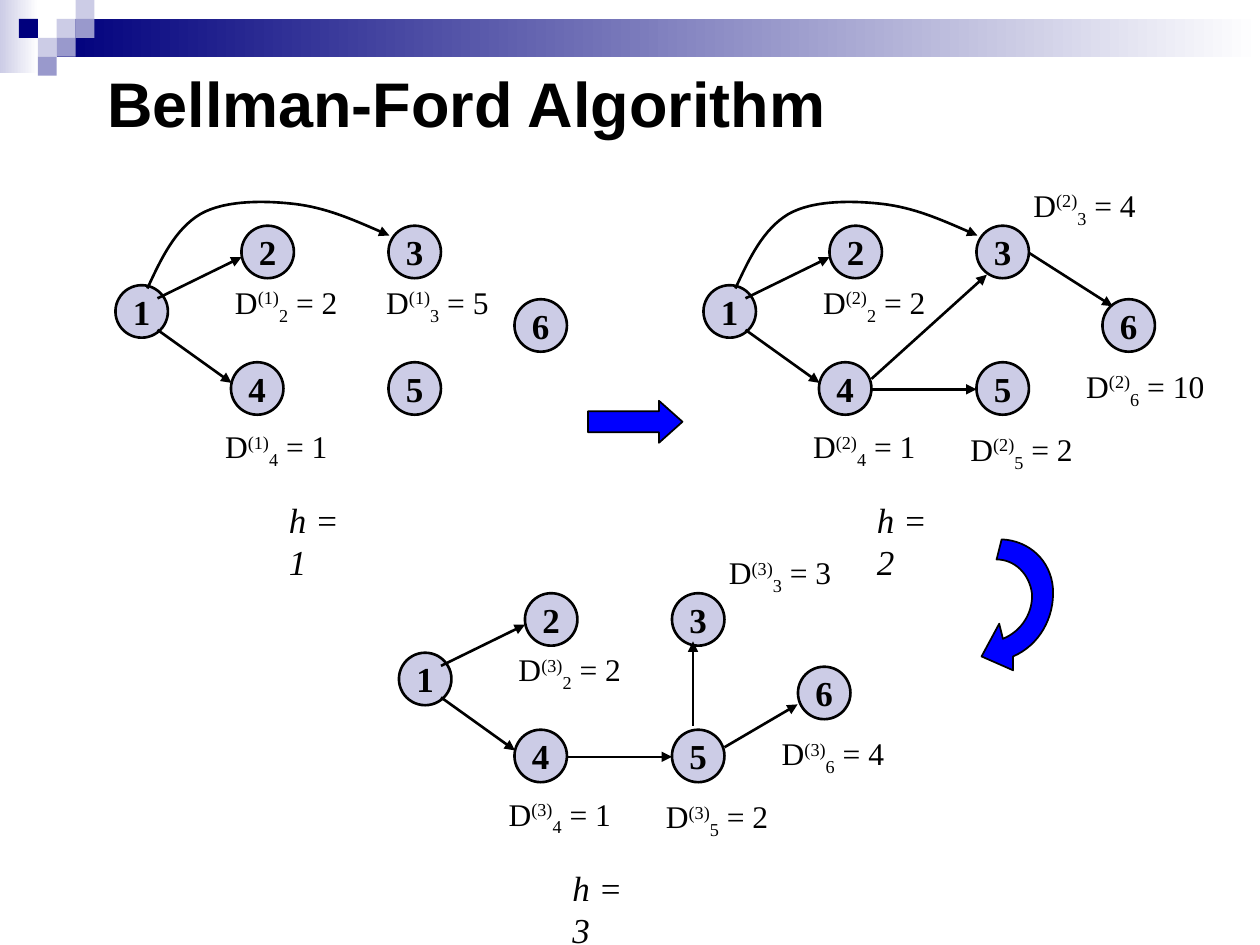
from dataclasses import dataclass

from pptx import Presentation
from pptx.dml.color import RGBColor
from pptx.enum import shapes, text
from pptx.oxml import ns, xmlchemy
from pptx.util import Pt

BLACK = RGBColor(0x00, 0x00, 0x00)
WHITE = RGBColor(0xFF, 0xFF, 0xFF)
NAVY = RGBColor(0x00, 0x00, 0x7D)
BLUE = RGBColor(0x00, 0x00, 0xFF)
LAVENDER = RGBColor(0xCC, 0xCC, 0xE6)
PERIWINKLE = RGBColor(0x99, 0x99, 0xCC)
SERIF = "Times New Roman"
NODE_SIZE = 30
SQUARE = 10.8

Point = tuple[float, float]


@dataclass(frozen=True)
class Outline:
    """Start point, then segments: one point is a line, three points are a Bézier curve."""
    start: Point
    segments: list[list[Point]]
    closed: bool = False


@dataclass(frozen=True)
class Stage:
    """One step of the algorithm; label_spots overrides the usual label places."""
    hops: int
    origin: Point
    edges: list[tuple[int, int]]
    distances: dict[int, int]
    label_spots: dict[int, Point]
    detour: bool = True


# Positions of the graph parts, relative to a stage's origin
NODES = {2: (138, 129), 3: (222, 129), 1: (66, 163),
         4: (132, 207), 6: (294, 171), 5: (222, 207)}
EDGES = {
    (1, 2): ((90, 170.5), (138, 147)),
    (1, 4): ((90, 188.5), (132.3, 218.8)),
    (4, 3): ((162, 216.5), (227.9, 157)),
    (4, 5): ((162, 222.5), (222, 222.5)),
    (3, 6): ((252.3, 144.7), (299.8, 175)),
    (5, 3): ((234, 204.8), (234, 156.5)),
    (5, 6): ((252, 217), (293.8, 192.5)),
}
LABEL_SPOTS = {2: (127.2, 158), 3: (247.4, 102.7), 4: (121.5, 240.5),
               5: (211.4, 242), 6: (277.6, 206)}
HOPS_SPOT = (158, 281.5)
DETOUR = Outline((84.2, 164.9), [
    [(92.2, 147.6), (100.1, 131), (114.5, 122.4)],
    [(128.2, 114.5), (150.5, 114.5), (168.5, 116.6)],
    [(186.5, 118.8), (204.5, 126.7), (222.5, 134.6)],
])
TURN_ARROW = Outline((573.1, 365), [
    [(583.9, 360.7), (590.4, 349.9), (589.7, 339.1)],
    [(588.2, 327.6), (579.6, 319.7), (569.5, 319.7)],
    [(572.4, 308.2)],
    [(588.2, 308.9), (600.5, 320.4), (601.7, 336.2)],
    [(602.7, 352.8), (594, 368.6), (578.9, 375.1)],
    [(578.9, 383)], [(560.9, 375.1)], [(571, 356.4)],
], closed=True)

STAGES = [
    Stage(1, (0, 0), [(1, 2), (1, 4)], {2: 2, 3: 5, 4: 1}, {3: (213.6, 158)}),
    Stage(2, (336, 0), [(1, 2), (1, 4), (4, 3), (4, 5), (3, 6)],
          {2: 2, 3: 4, 4: 1, 6: 10, 5: 2}, {}),
    Stage(3, (162, 210), [(1, 2), (1, 4), (5, 3), (4, 5), (5, 6)],
          {2: 2, 3: 3, 4: 1, 6: 4, 5: 2}, {}, detour=False),
]


def shifted(point: Point, origin: Point) -> tuple[Pt, Pt]:
    return Pt(point[0] + origin[0]), Pt(point[1] + origin[1])


def style_line(line, width: float, arrowhead: bool = False) -> None:
    line.color.rgb = BLACK
    line.width = Pt(width)
    if arrowhead:
        tail = xmlchemy.OxmlElement("a:tailEnd")
        tail.set("type", "triangle")
        line._get_or_add_ln().append(tail)


def add_filled(slide, kind, left: float, top: float, width: float, height: float,
               color: RGBColor, fade: bool = False):
    """Add a borderless shape; fade runs its colour out to white on the right."""
    shape = slide.shapes.add_shape(kind, Pt(left), Pt(top), Pt(width), Pt(height))
    shape.shadow.inherit = False
    shape.line.fill.background()
    if fade:
        shape.fill.gradient()
        shape.fill.gradient_angle = 0
        for stop, stop_color in zip(shape.fill.gradient_stops, (color, WHITE)):
            stop.color.rgb = stop_color
    else:
        shape.fill.solid()
        shape.fill.fore_color.rgb = color
    return shape


def add_outline(slide, outline: Outline, origin: Point = (0, 0)):
    builder = slide.shapes.build_freeform(*shifted(outline.start, origin))
    builder.add_line_segments(
        [shifted(point, origin) for segment in outline.segments for point in segment],
        close=outline.closed)
    shape = builder.convert_to_shape()
    shape.shadow.inherit = False
    steps = iter(shape._element.findall(".//" + ns.qn("a:lnTo")))
    for segment in outline.segments:
        lines = [next(steps) for _ in segment]
        if len(lines) == 3:
            curve = xmlchemy.OxmlElement("a:cubicBezTo")
            lines[0].addprevious(curve)
            for line in lines:
                curve.append(line[0])
                line.getparent().remove(line)
    return shape


def add_node(slide, number: int, origin: Point) -> None:
    left, top = NODES[number]
    node = add_filled(slide, shapes.MSO_SHAPE.OVAL, left + origin[0], top + origin[1],
                      NODE_SIZE, NODE_SIZE, LAVENDER)
    style_line(node.line, 1.5)
    frame = node.text_frame
    frame.word_wrap = False
    frame.vertical_anchor = text.MSO_ANCHOR.MIDDLE
    paragraph = frame.paragraphs[0]
    paragraph.text = str(number)
    paragraph.alignment = text.PP_ALIGN.CENTER
    font = paragraph.font
    font.name, font.size, font.bold, font.color.rgb = SERIF, Pt(20), True, BLACK


def add_edge(slide, ends: tuple[Point, Point], origin: Point) -> None:
    edge = slide.shapes.add_connector(shapes.MSO_CONNECTOR.STRAIGHT,
                                      *shifted(ends[0], origin), *shifted(ends[1], origin))
    style_line(edge.line, 1.5, arrowhead=True)
    edge._element.spPr.append(xmlchemy.OxmlElement("a:effectLst"))


def add_label(slide, pieces: list[tuple[str, int]], spot: Point, origin: Point,
              width: float, size: float, italic: bool = False) -> None:
    """Add a one-line label from (text, baseline percent) pieces."""
    box = slide.shapes.add_textbox(*shifted(spot, origin), Pt(width), Pt(31.5))
    box.text_frame.word_wrap = False
    paragraph = box.text_frame.paragraphs[0]
    font = paragraph.font
    font.name, font.size, font.italic, font.color.rgb = SERIF, Pt(size), italic, BLACK
    for words, baseline in pieces:
        run = paragraph.add_run()
        run.text = words
        if baseline:
            run._r.get_or_add_rPr().set("baseline", str(baseline * 1000))


def add_stage(slide, stage: Stage) -> None:
    for number in NODES:
        add_node(slide, number, stage.origin)
    for edge in stage.edges:
        add_edge(slide, EDGES[edge], stage.origin)
    if stage.detour:
        detour = add_outline(slide, DETOUR, stage.origin)
        detour.fill.background()
        style_line(detour.line, 1.5, arrowhead=True)
    for node, distance in stage.distances.items():
        pieces = [("D", 0), (f"({stage.hops})", 30), (str(node), -25), (f" = {distance}", 0)]
        spot = stage.label_spots.get(node, LABEL_SPOTS[node])
        add_label(slide, pieces, spot, stage.origin, 82 if distance >= 10 else 73, 18)
    add_label(slide, [(f"h = {stage.hops}", 0)], HOPS_SPOT, stage.origin, 57.5, 20, italic=True)


def add_banner(slide) -> None:
    rectangle = shapes.MSO_SHAPE.RECTANGLE
    add_filled(slide, rectangle, 0, 0, 22, 42, LAVENDER, fade=True)
    add_filled(slide, rectangle, 3 * SQUARE, SQUARE, 720 - 3 * SQUARE, 2 * SQUARE, NAVY, fade=True)
    for column, row, color in [(3, 1, LAVENDER), (4, 0, LAVENDER), (4, 1, PERIWINKLE),
                               (2, 2, LAVENDER), (1, 1, NAVY), (3, 2, PERIWINKLE),
                               (2, 3, PERIWINKLE)]:
        add_filled(slide, rectangle, column * SQUARE, row * SQUARE, SQUARE, SQUARE, color)


def add_title(slide, words: str) -> None:
    title = slide.shapes.title
    title.left, title.top, title.width, title.height = Pt(54), Pt(13.7), Pt(612), Pt(90)
    title.text_frame.vertical_anchor = text.MSO_ANCHOR.MIDDLE
    paragraph = title.text_frame.paragraphs[0]
    paragraph.text = words
    paragraph.alignment = text.PP_ALIGN.LEFT
    font = paragraph.font
    font.name, font.size, font.bold, font.color.rgb = "Arial", Pt(36), True, BLACK


def main() -> None:
    deck = Presentation()
    deck.slide_width, deck.slide_height = Pt(720), Pt(540)
    slide = deck.slides.add_slide(deck.slide_layouts[5])
    add_banner(slide)
    add_title(slide, "Bellman-Ford Algorithm")
    for stage in STAGES:
        add_stage(slide, stage)
    next_arrow = add_filled(slide, shapes.MSO_SHAPE.RIGHT_ARROW, 336, 229, 54, 24, BLUE)
    next_arrow.adjustments[1] = 0.56
    turn_arrow = add_outline(slide, TURN_ARROW)
    turn_arrow.fill.solid()
    turn_arrow.fill.fore_color.rgb = BLUE
    for arrow in (next_arrow, turn_arrow):
        style_line(arrow.line, 1)
    deck.save("out.pptx")


if __name__ == "__main__":
    main()
